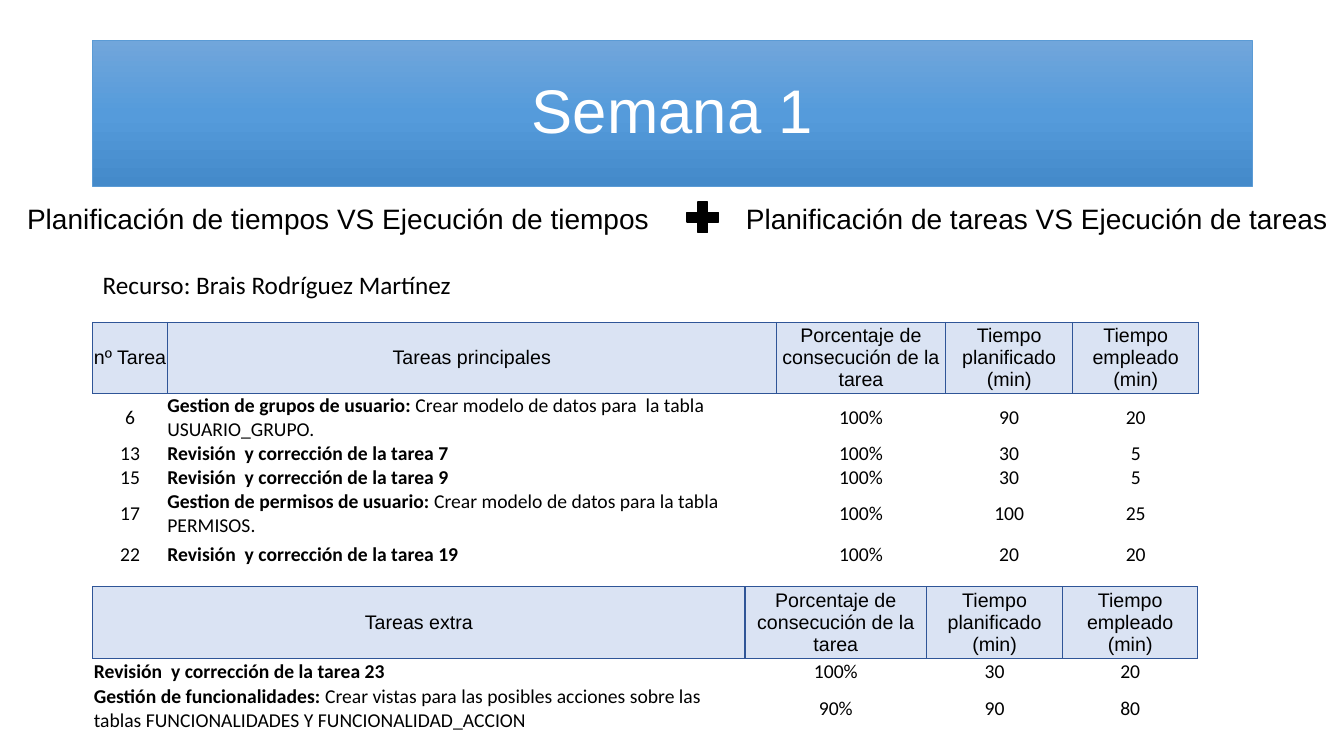
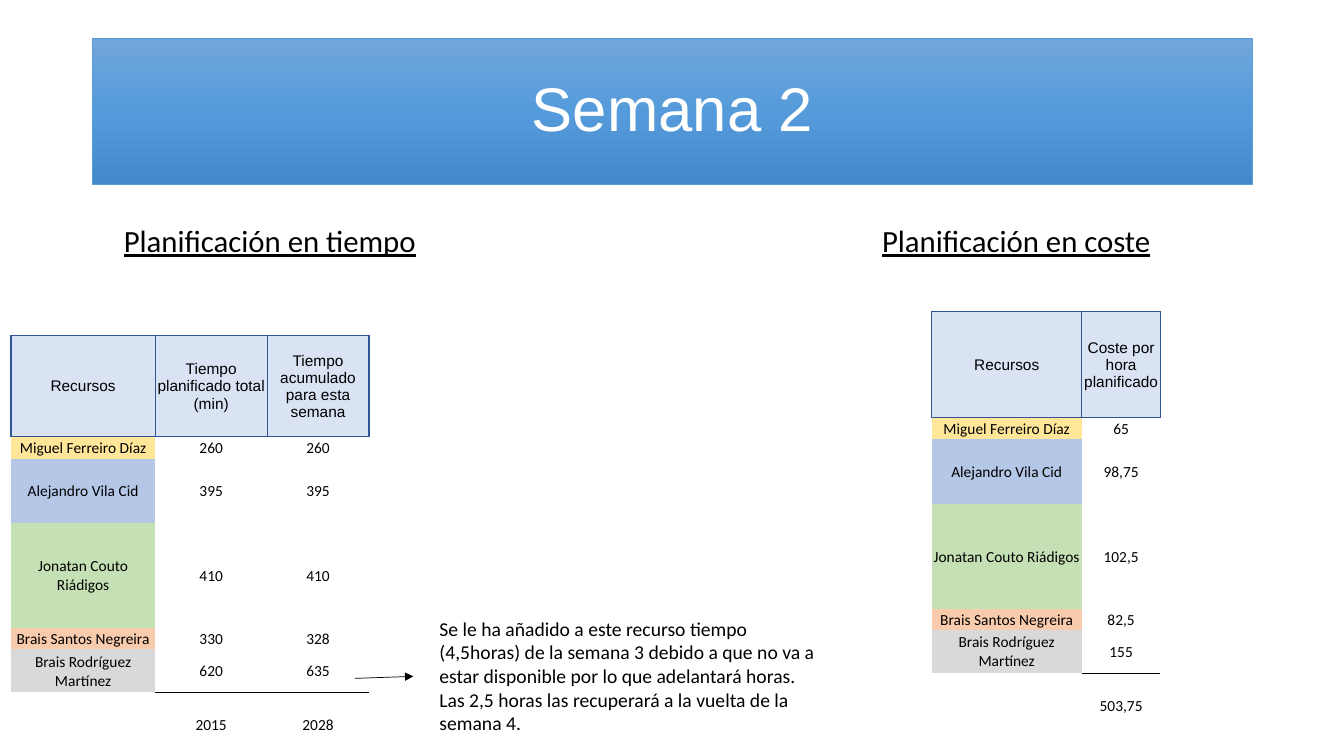
from dataclasses import dataclass

from lxml import etree
from pptx import Presentation
from pptx.dml.color import RGBColor
from pptx.enum.shapes import MSO_CONNECTOR, MSO_SHAPE
from pptx.enum.text import MSO_ANCHOR, MSO_AUTO_SIZE, PP_ALIGN
from pptx.oxml.ns import qn
from pptx.util import Inches, Pt

LEFT, CENTER = PP_ALIGN.LEFT, PP_ALIGN.CENTER
MIDDLE = MSO_ANCHOR.MIDDLE
STRAIGHT = MSO_CONNECTOR.STRAIGHT
PLUS = MSO_SHAPE.MATH_PLUS
FIT_TEXT, NO_FIT = MSO_AUTO_SIZE.SHAPE_TO_FIT_TEXT, MSO_AUTO_SIZE.NONE
NO_STYLE = "{2D5ABB26-0587-4C30-8999-92F81FD0307C}"


@dataclass(frozen=True)
class Theme:
    head_font: str = "Arial"
    body_font: str = "Calibri"
    black: str = "000000"
    white: str = "FFFFFF"
    band: tuple = ((0, "71A6DB"), (50, "559BDB"), (100, "448ACA"))
    band_line: str = "5B9BD5"
    head_fill: str = "DAE3F3"
    head_line: str = "2F5597"
    title: float = 44
    heading: float = 22
    subtitle: float = 20
    label: float = 18
    text: float = 14
    small: float = 11


THEME = Theme()

TIME_HEADS = ["Porcentaje de consecución de la tarea",
              "Tiempo planificado (min)", "Tiempo empleado (min)"]
# A pair in a cell is a bold part followed by a plain part.
MAIN_TASKS = [
    ["nº Tarea", "Tareas principales", *TIME_HEADS],
    ["6", ("Gestion de grupos de usuario: ",
           "Crear modelo de datos para  la tabla USUARIO_GRUPO."),
     "100%", "90", "20"],
    ["13", ("Revisión  y corrección de la tarea 7", ""), "100%", "30", "5"],
    ["15", ("Revisión  y corrección de la tarea 9", ""), "100%", "30", "5"],
    ["17", ("Gestion de permisos de usuario:",
            " Crear modelo de datos para la tabla PERMISOS."),
     "100%", "100", "25"],
    ["22", ("Revisión  y corrección de la tarea 19", ""), "100%", "20", "20"],
]
EXTRA_TASKS = [
    ["Tareas extra", *TIME_HEADS],
    [("Revisión  y corrección de la tarea 23", ""), "100%", "30", "20"],
    [("Gestión de funcionalidades:",
      " Crear vistas para las posibles acciones sobre las tablas "
      "FUNCIONALIDADES Y FUNCIONALIDAD_ACCION"), "90%", "90", "80"],
]
# Name, colour, row height
RESOURCES = [
    ("Miguel Ferreiro Díaz", "FFE699", 0.22),
    ("Alejandro Vila Cid", "B4C7E7", 0.64),
    ("Jonatan Couto Riádigos", "C5E0B4", 1.04),
    ("Brais Santos Negreira", "F8CBAD", 0.21),
    ("Brais Rodríguez Martínez", "D9D9D9", 0.43),
]
TOTAL_HEIGHT = 0.64
TIMES = [
    ["Tiempo planificado total (min)", "260", "395", "410", "330", "620", "2015"],
    ["Tiempo acumulado para esta semana", "260", "395", "410", "328", "635", "2028"],
]
COSTS = [
    ["Coste por hora planificado", "65", "98,75", "102,5", "82,5", "155", "503,75"],
]
NOTE = ("Se le ha añadido a este recurso tiempo (4,5horas) de la semana 3 debido "
        "a que no va a  estar disponible por lo que adelantará horas. Las 2,5 "
        "horas las recuperará a la vuelta de la semana 4.")


def rgb(color):
    return RGBColor.from_string(color)


def set_border(cell, sides, color, width):
    """Draw the given sides (of L, R, T, B) and leave the others without a line."""
    tc_pr = cell._tc.get_or_add_tcPr()
    for side in "LRTB":
        ln = etree.SubElement(tc_pr, qn(f"a:ln{side}"), w=str(Pt(width)))
        if side in sides:
            fill = etree.SubElement(ln, qn("a:solidFill"))
            etree.SubElement(fill, qn("a:srgbClr"), val=color)
        else:
            etree.SubElement(ln, qn("a:noFill"))


class Deck:
    def __init__(self, theme):
        self.theme = theme
        self.prs = Presentation()
        self.prs.slide_width, self.prs.slide_height = Inches(13.33), Inches(7.5)
        self.slide = None

    def add_run(self, p, text, size, font, color=None, bold=False, underline=False):
        r = p.add_run()
        r.text = text
        r.font.size, r.font.name = Pt(size), font
        r.font.color.rgb = rgb(color or self.theme.black)
        r.font.bold, r.font.underline = bold, underline

    def add_slide(self, title, top):
        """Start a title-only slide whose title is a gradient band."""
        t = self.theme
        self.slide = self.prs.slides.add_slide(self.prs.slide_layouts[5])
        sp = self.slide.shapes.title
        sp.left, sp.top = Inches(0.92), Inches(top)
        sp.width, sp.height = Inches(11.5), Inches(1.45)
        sp.fill.gradient()
        sp.fill.gradient_angle = 270
        stops = sp._element.spPr.find(qn("a:gradFill")).find(qn("a:gsLst"))
        stops.clear()
        for pos, color in t.band:
            stop = etree.SubElement(stops, qn("a:gs"), pos=str(pos * 1000))
            etree.SubElement(stop, qn("a:srgbClr"), val=color)
        sp.line.color.rgb, sp.line.width = rgb(t.band_line), Pt(0.5)
        tf = sp.text_frame
        tf.auto_size, tf.vertical_anchor = NO_FIT, MIDDLE
        p = tf.paragraphs[0]
        p.alignment, p.line_spacing = CENTER, 0.9
        self.add_run(p, title, t.title, t.head_font, t.white)

    def add_text(self, text, left, top, width, height, size, font, underline=False):
        sp = self.slide.shapes.add_textbox(
            Inches(left), Inches(top), Inches(width), Inches(height))
        tf = sp.text_frame
        tf.word_wrap, tf.auto_size = True, FIT_TEXT
        self.add_run(tf.paragraphs[0], text, size, font, underline=underline)

    def add_plus(self, left, top, width, height):
        sp = self.slide.shapes.add_shape(
            PLUS, Inches(left), Inches(top), Inches(width), Inches(height))
        sp.shadow.inherit = False
        sp.fill.solid()
        sp.fill.fore_color.rgb = sp.line.color.rgb = rgb(self.theme.black)
        sp.line.width = Pt(1)

    def add_arrow(self, x1, y1, x2, y2):
        line = self.slide.shapes.add_connector(
            STRAIGHT, Inches(x1), Inches(y1), Inches(x2), Inches(y2))
        line.line.color.rgb, line.line.width = rgb(self.theme.black), Pt(0.5)
        etree.SubElement(line.line._get_or_add_ln(), qn("a:tailEnd"), type="triangle")
        etree.SubElement(line._element.spPr, qn("a:effectLst"))

    def fill_cell(self, cell, content, size, inset, is_head):
        t = self.theme
        cell.vertical_anchor = MIDDLE
        cell.margin_left = cell.margin_right = cell.margin_top = Inches(inset)
        cell.margin_bottom = 0
        p = cell.text_frame.paragraphs[0]
        is_task = isinstance(content, tuple)
        p.alignment = LEFT if is_task else CENTER
        font = t.head_font if is_head else t.body_font
        for i, text in enumerate(content if is_task else [content]):
            if text:
                self.add_run(p, text, size, font, bold=is_task and i == 0)

    def add_table(self, rows, left, top, widths, heights, size, inset=0.01,
                  fills=None, has_total=False):
        """fills colours the first cell of the rows under the header."""
        t = self.theme
        frame = self.slide.shapes.add_table(
            len(rows), len(widths), Inches(left), Inches(top),
            Inches(sum(widths)), Inches(sum(heights)))
        table = frame.table
        table.first_row = table.horz_banding = False
        table._tbl.tblPr.find(qn("a:tableStyleId")).text = NO_STYLE
        for column, width in zip(table.columns, widths):
            column.width = Inches(width)
        for row, height in zip(table.rows, heights):
            row.height = Inches(height)
        colors = [t.head_fill] + list(fills or [])
        for i, row in enumerate(rows):
            for j, content in enumerate(row):
                cell = table.cell(i, j)
                self.fill_cell(cell, content, size, inset, i == 0)
                if i < 2:
                    set_border(cell, "T" if i else "LRTB", t.head_line, 1)
                else:
                    is_sum = has_total and i == len(rows) - 1 and j > 0
                    is_last = has_total and i == len(rows) - 2 and j > 0
                    sides = "T" if is_sum else "B" if is_last else ""
                    set_border(cell, sides, t.black, 0.5)
                if i < len(colors) and (i == 0 or j == 0):
                    cell.fill.solid()
                    cell.fill.fore_color.rgb = rgb(colors[i])
                else:
                    cell.fill.background()

    def add_resource_table(self, columns, left, top, widths, head_height):
        names, fills, heights = zip(*RESOURCES)
        rows = list(zip(["Recursos", *names, ""], *columns))
        self.add_table(rows, left, top, widths,
                       [head_height, *heights, TOTAL_HEIGHT],
                       self.theme.small, fills=fills, has_total=True)


def build_week_1(deck):
    t = deck.theme
    deck.add_slide("Semana 1", 0.4)
    deck.add_text("Planificación de tiempos VS Ejecución de tiempos",
                  0.17, 1.95, 6.47, 0.44, t.subtitle, t.head_font)
    deck.add_plus(6.76, 1.95, 0.42, 0.41)
    deck.add_text("Planificación de tareas VS Ejecución de tareas",
                  7.3, 1.95, 6.03, 0.44, t.subtitle, t.head_font)
    deck.add_text("Recurso: Brais Rodríguez Martínez",
                  0.92, 2.62, 3.8, 0.4, t.label, t.body_font)
    deck.add_table(MAIN_TASKS, 0.92, 3.2, [0.74, 6.04, 1.68, 1.26, 1.25],
                   [0.7, 0.48, 0.24, 0.24, 0.48, 0.33], t.text, inset=0)
    deck.add_table(EXTRA_TASKS, 0.92, 5.82, [6.47, 1.8, 1.35, 1.34],
                   [0.7, 0.25, 0.49], t.text)


def build_week_2(deck):
    t = deck.theme
    deck.add_slide("Semana 2", 0.38)
    for text, left in (("Planificación en tiempo", 1.13),
                       ("Planificación en coste", 8.65)):
        deck.add_text(text, left, 2.15, 3.12, 0.47, t.heading, t.body_font,
                      underline=True)
    deck.add_resource_table(TIMES, 0.11, 3.33, [1.43, 1.11, 1.01], 1)
    deck.add_resource_table(COSTS, 9.24, 3.09, [1.49, 0.78], 1.05)
    deck.add_arrow(3.52, 6.73, 4.1, 6.71)
    deck.add_text(NOTE, 4.26, 6.07, 4.02, 1.28, t.text, t.body_font)


def main():
    deck = Deck(THEME)
    build_week_1(deck)
    build_week_2(deck)
    deck.prs.save("out.pptx")


if __name__ == "__main__":
    main()
